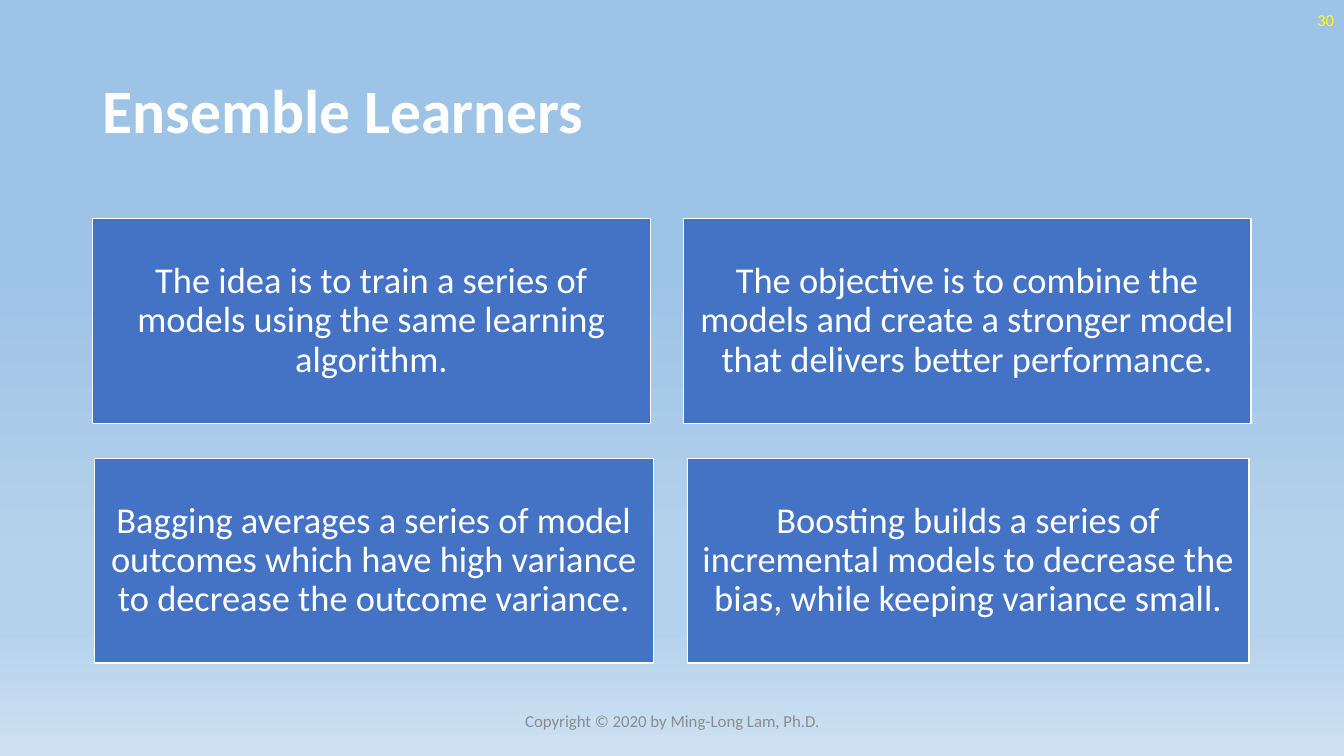
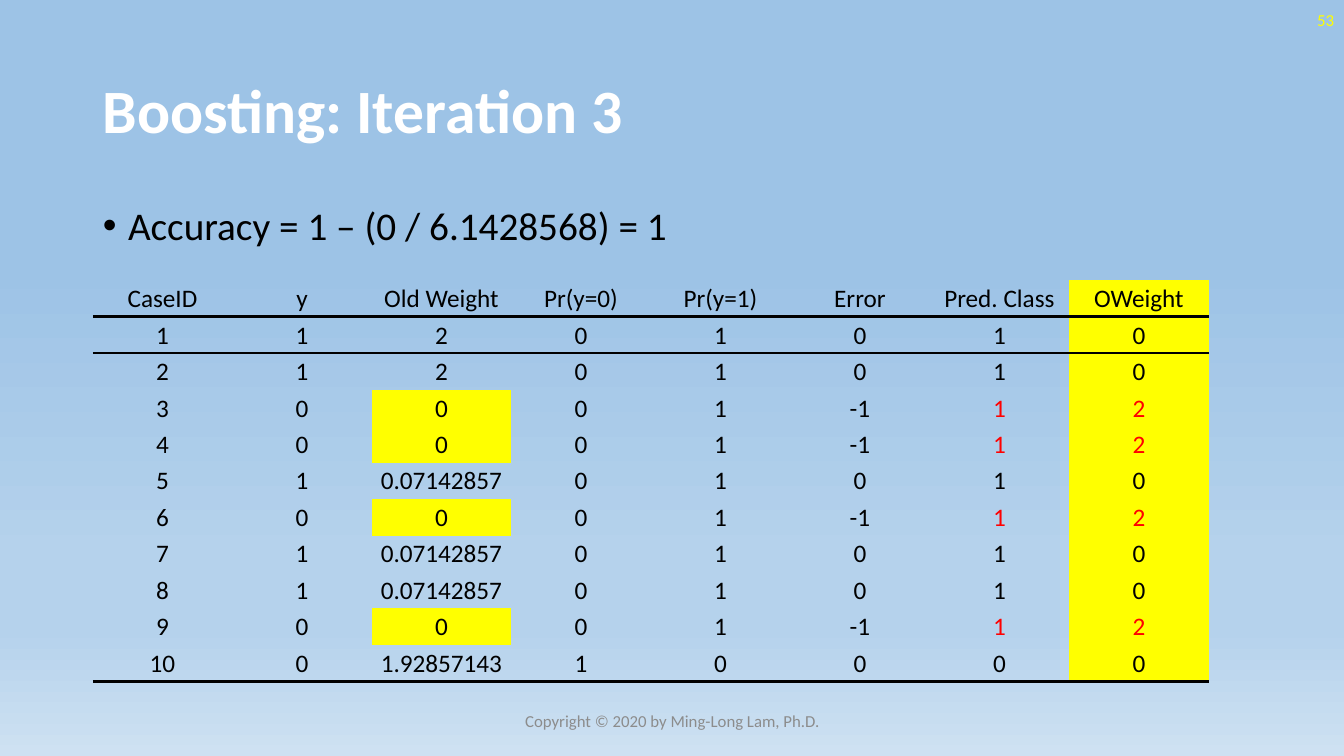
from lxml.etree import SubElement
from pptx import Presentation
from pptx.dml.color import RGBColor
from pptx.enum.shapes import MSO_SHAPE
from pptx.enum.text import MSO_ANCHOR, MSO_AUTO_SIZE, PP_ALIGN
from pptx.oxml import parse_xml
from pptx.oxml.ns import nsdecls, qn
from pptx.util import Emu, Pt

EMU_PER_PX = 9144
FONT = "Calibri"
COLORS = {
    "white": "FFFFFF",
    "black": "000000",
    "yellow": "FFFF00",
    "red": "FF0000",
    "blue": "4472C4",
    "grey": "8C8C8C",
}
BACKGROUND_STOPS = [(35, "9DC3E6"), (74, "B5D2EC"), (83, "B5D2EC"), (100, "CEE1F2")]
NO_GRID_STYLE = "{2D5ABB26-0587-4C30-8999-92F81FD0307C}"
COPYRIGHT = "Copyright © 2020 by Ming-Long Lam, Ph.D."
TITLE_LAYOUT, BODY_LAYOUT = 5, 1

IDEAS = [
    ((92, 217, 553, 203),
     "The idea is to train a series of models using the same learning algorithm."),
    ((678, 217, 563, 203),
     "The objective is to combine the models and create a stronger model that delivers better performance."),
    ((94, 455, 554, 203),
     "Bagging averages a series of model outcomes which have high variance to decrease the outcome variance."),
    ((682, 455, 557, 203),
     "Boosting builds a series of incremental models to decrease the bias, while keeping variance small."),
]
HEADER = ["CaseID", "y", "Old Weight", "Pr(y=0)", "Pr(y=1)", "Error", "Pred. Class", "OWeight"]
CASES = [
    ["1", "1", "2", "0", "1", "0", "1", "0"],
    ["2", "1", "2", "0", "1", "0", "1", "0"],
    ["3", "0", "0", "0", "1", "-1", "1", "2"],
    ["4", "0", "0", "0", "1", "-1", "1", "2"],
    ["5", "1", "0.07142857", "0", "1", "0", "1", "0"],
    ["6", "0", "0", "0", "1", "-1", "1", "2"],
    ["7", "1", "0.07142857", "0", "1", "0", "1", "0"],
    ["8", "1", "0.07142857", "0", "1", "0", "1", "0"],
    ["9", "0", "0", "0", "1", "-1", "1", "2"],
    ["10", "0", "1.92857143", "1", "0", "0", "0", "0"],
]


def px(length):
    """Turn whole pixels into EMU."""
    return Emu(length * EMU_PER_PX)


def color(name):
    """Look up a named colour."""
    return RGBColor.from_string(COLORS[name])


class Deck:
    """Hold the shared style and the current slide."""

    def __init__(self):
        """Start a wide presentation with the gradient background."""
        self.presentation = Presentation()
        self.presentation.slide_width = px(1333)
        self.presentation.slide_height = px(750)
        self.slide = None
        master = self.presentation.slide_master
        fill = master.background.fill
        fill.gradient()
        fill.gradient_angle = 270
        stops = master.element.find(".//" + qn("a:gsLst"))
        for stop in list(stops):
            stops.remove(stop)
        for percent, value in BACKGROUND_STOPS:
            stop = SubElement(stops, qn("a:gs"), pos=str(percent * 1000))
            SubElement(stop, qn("a:srgbClr"), val=value)

    def fill_frame(self, frame, text, size, ink, align=PP_ALIGN.LEFT, bold=False,
                   spacing=1.0, anchor=MSO_ANCHOR.MIDDLE):
        """Fill a text frame with one styled paragraph."""
        frame.word_wrap = True
        frame.auto_size = MSO_AUTO_SIZE.NONE
        frame.vertical_anchor = anchor
        self.style(frame.paragraphs[0], text, size, ink, align, bold, spacing)

    def style(self, paragraph, text, size, ink, align, bold=False, spacing=1.0):
        """Set the text and look of a paragraph."""
        paragraph.text = text
        paragraph.alignment = align
        paragraph.line_spacing = spacing
        paragraph.space_before = Pt(0)
        font = paragraph.font
        font.name, font.size, font.bold = FONT, Pt(size), bold
        font.color.rgb = color(ink)

    def place(self, shape, box):
        """Move and size a shape."""
        shape.left, shape.top, shape.width, shape.height = map(px, box)

    def add_slide(self, layout, title, number):
        """Add a slide with title, number and copyright line."""
        self.slide = self.presentation.slides.add_slide(self.presentation.slide_layouts[layout])
        heading = self.slide.shapes.title
        self.place(heading, (92, 40, 1150, 145))
        self.fill_frame(heading.text_frame, title, 44, "white", bold=True, spacing=0.9)
        self.label((1033, 0, 300, 40), number, "yellow", PP_ALIGN.RIGHT)
        self.label((442, 695, 450, 40), COPYRIGHT, "grey", PP_ALIGN.CENTER)

    def label(self, box, text, ink, align):
        """Add a small text box."""
        shape = self.slide.shapes.add_textbox(*map(px, box))
        self.fill_frame(shape.text_frame, text, 12, ink, align)

    def panel(self, box, text):
        """Add a blue rectangle with centred text."""
        shape = self.slide.shapes.add_shape(MSO_SHAPE.RECTANGLE, *map(px, box))
        shape.shadow.inherit = False
        shape.fill.solid()
        shape.fill.fore_color.rgb = color("blue")
        shape.line.color.rgb = color("white")
        shape.line.width = Pt(1)
        frame = shape.text_frame
        frame.margin_left = frame.margin_right = px(11)
        frame.margin_top = frame.margin_bottom = px(11)
        self.fill_frame(frame, text, 26, "white", PP_ALIGN.CENTER, spacing=0.9)

    def bullet(self, box, text):
        """Put one bullet in the body placeholder."""
        body = self.slide.placeholders[1]
        self.place(body, box)
        properties = body.text_frame.paragraphs[0]._p.get_or_add_pPr()
        properties.set("marL", str(px(25)))
        properties.set("indent", str(px(-25)))
        SubElement(properties, qn("a:buChar"), char="•")
        self.fill_frame(body.text_frame, text, 28, "black", spacing=0.9, anchor=MSO_ANCHOR.TOP)

    def rule(self, cell, side):
        """Draw a black border on one side of a cell."""
        cell._tc.get_or_add_tcPr().insert(0, parse_xml(
            f'<a:{side} {nsdecls("a")} w="{Pt(2)}"><a:solidFill>'
            f'<a:srgbClr val="{COLORS["black"]}"/></a:solidFill></a:{side}>'))

    def case_table(self, box, header, cases):
        """Add the case table, marking zero weights and misclassified cases."""
        rows = [header] + cases
        graphic_frame = self.slide.shapes.add_table(len(rows), len(header), *map(px, box))
        graphic_frame._element.find(".//" + qn("a:tableStyleId")).text = NO_GRID_STYLE
        table = graphic_frame.table
        table.first_row = table.horz_banding = False
        weight, error = header.index("Old Weight"), header.index("Error")
        for row_index, values in enumerate(rows):
            for column_index, value in enumerate(values):
                cell = table.cell(row_index, column_index)
                cell.margin_left = cell.margin_right = cell.margin_top = px(1)
                cell.margin_bottom = 0
                cell.vertical_anchor = MSO_ANCHOR.MIDDLE
                missed = values[error] == "-1" and column_index > error
                self.style(cell.text_frame.paragraphs[0], value, 18,
                           "red" if missed else "black", PP_ALIGN.CENTER)
                zero_weight = column_index == weight and value == "0"
                if zero_weight or column_index == len(header) - 1:
                    cell.fill.solid()
                    cell.fill.fore_color.rgb = color("yellow")
                else:
                    cell.fill.background()
                if row_index in (0, len(rows) - 1):
                    self.rule(cell, "lnB")
                elif row_index == 1:
                    self.rule(cell, "lnT")


def main():
    """Build and save both slides."""
    deck = Deck()
    deck.add_slide(TITLE_LAYOUT, "Ensemble Learners", "30")
    for box, text in IDEAS:
        deck.panel(box, text)

    deck.add_slide(BODY_LAYOUT, "Boosting: Iteration 3", "53")
    deck.bullet((92, 200, 1150, 476), "Accuracy = 1 – (0 / 6.1428568) = 1")
    deck.case_table((92, 278, 1107, 398), HEADER, CASES)
    deck.presentation.save("out.pptx")


if __name__ == "__main__":
    main()
